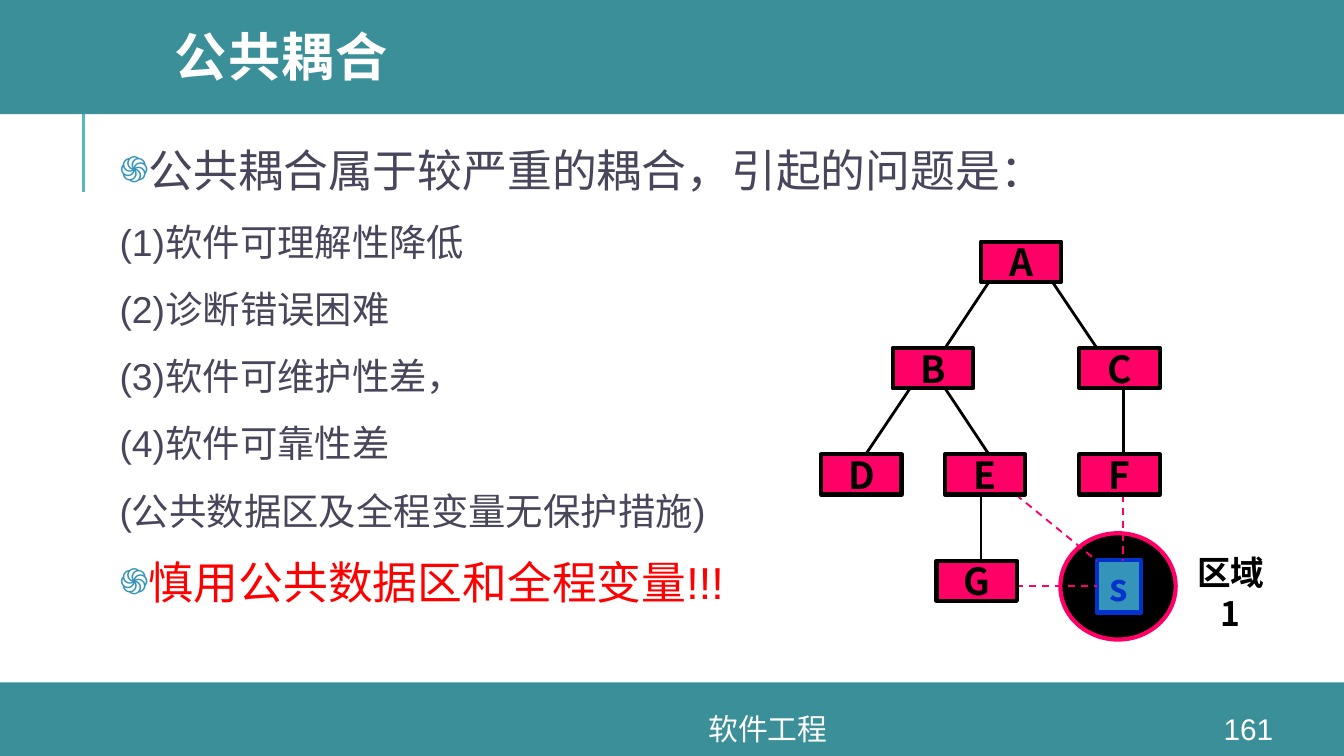
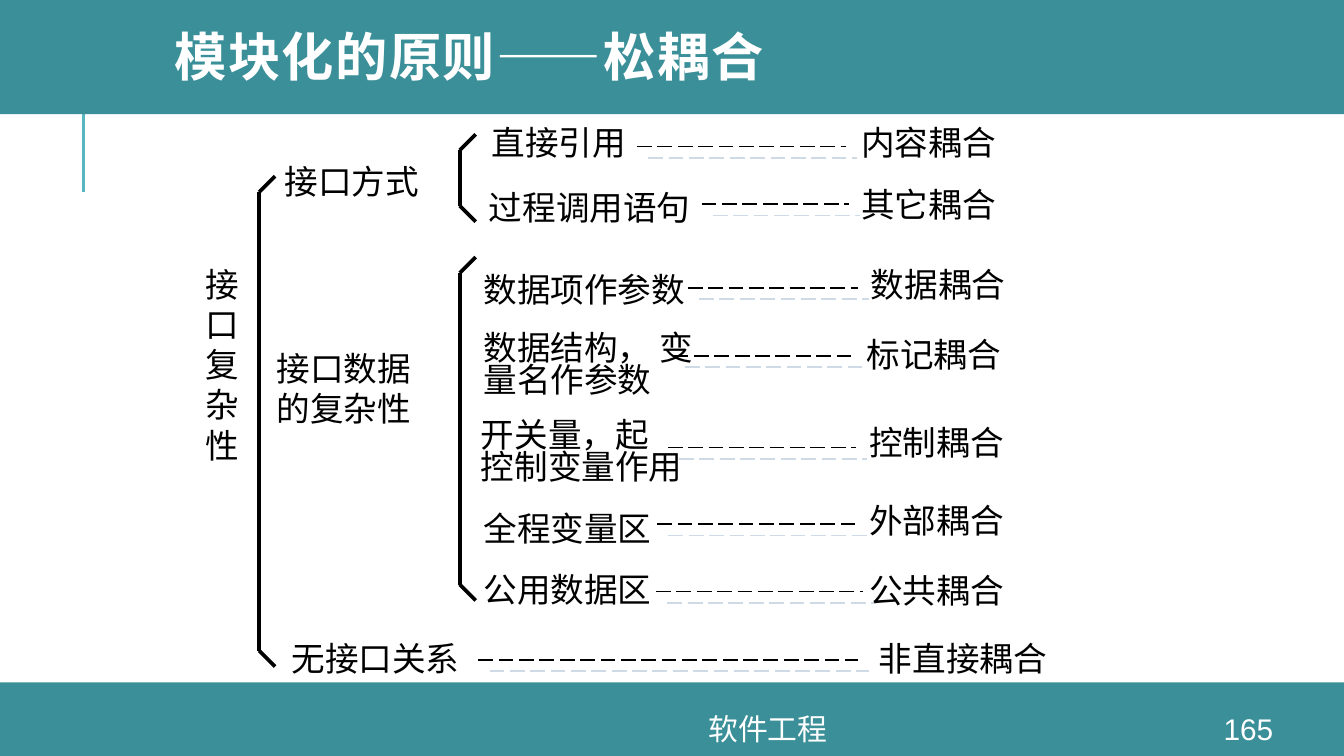
from dataclasses import dataclass

import lxml.etree
import pptx
import pptx.dml.color
import pptx.enum.dml
import pptx.enum.shapes
import pptx.enum.text
import pptx.oxml
import pptx.oxml.ns
import pptx.util

Cm = pptx.util.Cm
Pt = pptx.util.Pt
qn = pptx.oxml.ns.qn
ALIGN = pptx.enum.text.PP_ALIGN
ANCHOR = pptx.enum.text.MSO_ANCHOR
SHAPE = pptx.enum.shapes.MSO_SHAPE
DASH = pptx.enum.dml.MSO_LINE


@dataclass(frozen=True)
class Theme:
    band: str = "3A8F98"
    accent: str = "58B6C0"
    bullet: str = "3494BA"
    white: str = "FFFFFF"
    black: str = "000000"
    body: str = "48465B"
    warning: str = "FF0000"
    node: str = "FF0066"
    store: str = "0033CC"
    shadow: str = "CEDBE6"
    title_font: str = "Montserrat"
    text_font: str = "Arial"
    cjk_font: str = "Noto Sans CJK SC"
    title_size: int = 28
    point_size: int = 24
    item_size: int = 20
    label_size: int = 18
    footer_size: int = 16


T = Theme()
NODE_W, NODE_H = 1.52, 0.76
LEVEL_TOP, LEVEL_STEP = 4.57, 2.01


def rgb(color):
    return pptx.dml.color.RGBColor.from_string(color)


def format_runs(p, size, color, font=T.text_font, bold=False):
    for r in p.runs:
        r.font.size = Pt(size)
        r.font.bold = bold
        r.font.color.rgb = rgb(color)
        r.font.name = font
        ea = lxml.etree.SubElement(r.font._element, qn("a:ea"))
        ea.set("typeface", T.cjk_font)


def set_text(s, lines, size, color, font=T.text_font, bold=False, align=ALIGN.LEFT,
             anchor=ANCHOR.TOP, wrap=True, insets=(0.25, 0.13), spacing=None):
    tf = s.text_frame
    tf.text = lines
    tf.word_wrap = wrap
    tf.vertical_anchor = anchor
    tf.margin_left = tf.margin_right = Cm(insets[0])
    tf.margin_top = tf.margin_bottom = Cm(insets[1])
    for p in tf.paragraphs:
        p.alignment = align
        p.line_spacing = spacing
        format_runs(p, size, color, font, bold)
    return tf


def add_text(slide, box, lines, size, color, **style):
    s = slide.shapes.add_textbox(*map(Cm, box))
    return set_text(s, lines, size, color, **style)


def add_block(slide, kind, box, fill, line=None):
    s = slide.shapes.add_shape(kind, *map(Cm, box))
    s.shadow.inherit = False
    s.fill.solid()
    s.fill.fore_color.rgb = rgb(fill)
    if line:
        s.line.color.rgb = rgb(line)
        s.line.width = Pt(2.25)
    else:
        s.line.fill.background()
    return s


def add_line(slide, x1, y1, x2, y2, color, width, dash=None, shadow=False):
    s = slide.shapes.add_connector(
        pptx.enum.shapes.MSO_CONNECTOR.STRAIGHT, Cm(x1), Cm(y1), Cm(x2), Cm(y2))
    s.line.color.rgb = rgb(color)
    s.line.width = Pt(width)
    if dash:
        s.line.dash_style = dash
    effects = lxml.etree.SubElement(s._element.spPr, qn("a:effectLst"))
    if shadow:
        outer = lxml.etree.SubElement(
            effects, qn("a:outerShdw"), dist=str(Pt(8.5)), dir="2700000",
            algn="ctr", rotWithShape="0")
        lxml.etree.SubElement(outer, qn("a:srgbClr"), val=T.shadow)


def add_frame(prs, title, number):
    slide = prs.slides.add_slide(prs.slide_layouts[6])
    add_line(slide, 1.58, 3.63, 1.58, 1.73, T.accent, 1.5)
    add_block(slide, SHAPE.RECTANGLE, (0, 12.9, 25.4, 1.39), T.band)
    add_block(slide, SHAPE.RECTANGLE, (0, -0.08, 25.4, 2.24), T.band)
    tf = add_text(slide, (3.05, 0, 21.56, 2.31), title, T.title_size, T.white,
                  font=T.title_font, bold=True, anchor=ANCHOR.MIDDLE, spacing=0.8)
    tf.paragraphs[0].runs[0].font._element.set("spc", "80")
    for left, width, text in ((6.63, 15.77, "软件工程"), (22.58, 2.03, number)):
        add_text(slide, (left, 13.49, width, 0.58), text, T.footer_size, T.white,
                 align=ALIGN.CENTER, anchor=ANCHOR.MIDDLE)
    return slide


def add_bullet(p):
    pPr = p._p.get_or_add_pPr()
    pPr.set("marL", str(Cm(0.18)))
    pPr.set("indent", str(Cm(-1.19)))
    color = lxml.etree.SubElement(pPr, qn("a:buClr"))
    lxml.etree.SubElement(color, qn("a:srgbClr"), val=T.bullet)
    lxml.etree.SubElement(pPr, qn("a:buSzPct"), val="80000")
    lxml.etree.SubElement(pPr, qn("a:buFont"), typeface=T.text_font)
    lxml.etree.SubElement(pPr, qn("a:buChar"), char="֍")


def add_points(slide, box, points):
    s = slide.shapes.add_textbox(*map(Cm, box))
    tf = s.text_frame
    tf.word_wrap = True
    tf.margin_left = tf.margin_right = tf.margin_top = tf.margin_bottom = Cm(0.13)
    tf.text = "\n".join(text for text, _, _ in points)
    for i, (p, (_, color, bulleted)) in enumerate(zip(tf.paragraphs, points)):
        p.alignment = ALIGN.JUSTIFY
        p.space_before = Pt(12 if i else 0)
        if bulleted:
            add_bullet(p)
        format_runs(p, T.point_size if bulleted else T.item_size, color)


def level_top(level):
    return LEVEL_TOP + level * LEVEL_STEP


def level_bottom(level):
    return level_top(level) + NODE_H


def add_node(slide, box, text, fill, line, color):
    s = add_block(slide, SHAPE.RECTANGLE, box, fill, line)
    set_text(s, text, T.item_size, color, font=T.cjk_font, bold=True,
             align=ALIGN.CENTER, anchor=ANCHOR.MIDDLE, wrap=False)


def add_common_area(slide):
    add_text(slide, (22.26, 10.31, 2, 1.02), "区域1", T.label_size, T.black,
             font=T.cjk_font, bold=True, align=ALIGN.CENTER)
    add_block(slide, SHAPE.OVAL, (20.04, 10.08, 2.18, 2.01), T.black, T.node)
    add_node(slide, (20.73, 10.59, 0.84, 0.99), "s", T.bullet, T.store, T.store)
    top, bottom = level_bottom(2), level_top(3)
    for ends in ((21.23, top, 21.23, bottom), (19.2, 11.07, 20.73, 11.07),
                 (19.2, top, 20.73, bottom)):
        add_line(slide, *ends, T.node, 1, DASH.DASH)


def add_module_tree(slide):
    edges = ((0, 18.69, 17.86), (0, 19.89, 20.73), (1, 17.2, 16.36),
             (1, 17.86, 18.69), (1, 21.23, 21.23), (2, 18.54, 18.54))
    for level, x1, x2 in edges:
        add_line(slide, x1, level_bottom(level), x2, level_top(level + 1), T.black, 1.5)
    nodes = (("A", 18.54, 0), ("B", 16.87, 1), ("C", 20.4, 1), ("D", 15.52, 2),
             ("E", 17.86, 2), ("F", 20.4, 2), ("G", 17.7, 3))
    for name, left, level in nodes:
        add_node(slide, (left, level_top(level), NODE_W, NODE_H), name,
                 T.node, T.black, T.black)


def add_label(slide, left, top, text, width=None, spacing=None):
    lines = text.split("\n")
    fitted = 0.64 * max(map(len, lines)) + 0.42
    box = (left, top, width or fitted, 0.2 + 0.76 * len(lines))
    add_text(slide, box, text, T.label_size, T.black, wrap=width is not None,
             insets=(0.2, 0.1), spacing=spacing)


def add_bracket(slide, x, top, bottom):
    tick = 0.3
    add_line(slide, x, top, x, bottom, T.black, 2)
    add_line(slide, x, top, x + tick, top - tick, T.black, 2)
    add_line(slide, x, bottom, x + tick, bottom + tick, T.black, 2)


def add_coupling_row(slide, source, dash, coupling):
    add_label(slide, *source)
    x1, x2, y = dash
    add_line(slide, x1, y, x2, y, T.black, 1, DASH.LONG_DASH, shadow=True)
    left, top, text = coupling
    add_label(slide, left, top, text, width=0.71 * len(text) + 0.82)


def build_common_coupling(prs):
    slide = add_frame(prs, "公共耦合", "161")
    items = ("(1)软件可理解性降低", "(2)诊断错误困难", "(3)软件可维护性差，",
             "(4)软件可靠性差", "(公共数据区及全程变量无保护措施)")
    points = [("公共耦合属于较严重的耦合，引起的问题是：", T.body, True)]
    points += [(item, T.body, False) for item in items]
    points.append(("慎用公共数据区和全程变量!!!", T.warning, True))
    add_points(slide, (2.13, 2.57, 21.77, 10.57), points)
    add_common_area(slide)
    add_module_tree(slide)


def build_loose_coupling(prs):
    slide = add_frame(prs, "模块化的原则——松耦合", "165")
    add_label(slide, 3.68, 4.88, "\n".join("接口复杂性"), width=1.35)
    add_label(slide, 5.18, 2.95, "接口方式")
    add_label(slide, 5.03, 6.48, "接口数据\n的复杂性")
    for bracket in ((4.9, 3.63, 12.3), (8.69, 2.84, 3.89), (8.69, 5.16, 11.05)):
        add_bracket(slide, *bracket)
    rows = (
        ((9.09, 2.21, "直接引用"), (12.04, 15.98, 2.77), (16.08, 2.21, "内容耦合")),
        ((9.04, 3.43, "过程调用语句"), (13.26, 16.05, 3.86), (16.08, 3.38, "其它耦合")),
        ((8.94, 4.98, "数据项作参数"), (13, 16.21, 5.44), (16.26, 4.88, "数据耦合")),
        ((8.94, 6.22, "数据结构， 变量名作参数", 4.4, 0.8), (12.73, 16.08, 6.73),
         (16.18, 6.22, "标记耦合")),
        ((8.89, 7.87, "开关量，起\n控制变量作用", None, 0.8), (12.62, 16.18, 8.46),
         (16.23, 7.87, "控制耦合")),
        ((8.94, 9.65, "全程变量区", None, 0.8), (12.42, 16.23, 9.91),
         (16.23, 9.35, "外部耦合")),
        ((8.94, 10.8, "公用数据区", None, 0.8), (12.4, 16.31, 11.18),
         (16.23, 10.67, "公共耦合")),
        ((5.31, 11.96, "无接口关系"), (9.04, 16.21, 12.47), (16.41, 11.96, "非直接耦合")),
    )
    for row in rows:
        add_coupling_row(slide, *row)


def main():
    prs = pptx.Presentation()
    prs.slide_width, prs.slide_height = Cm(25.4), Cm(14.29)
    build_common_coupling(prs)
    build_loose_coupling(prs)
    prs.save("out.pptx")


if __name__ == "__main__":
    main()
